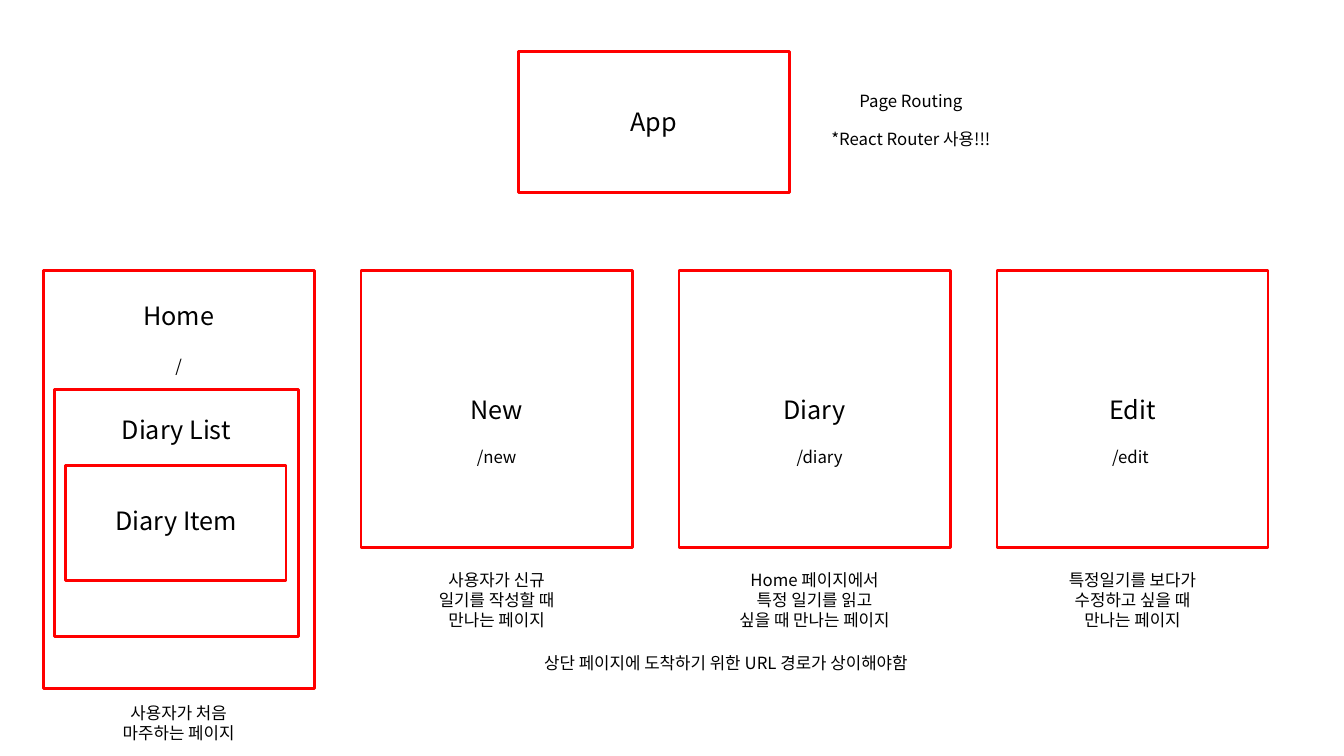
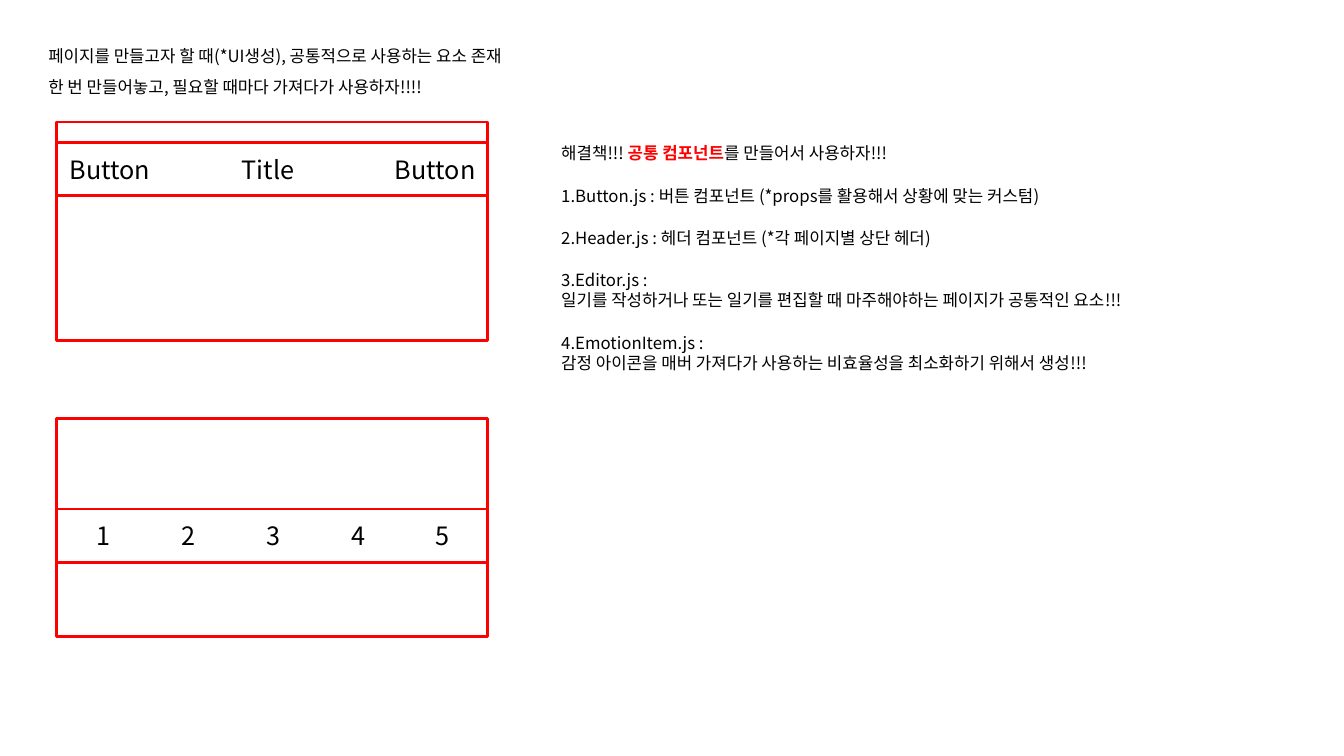
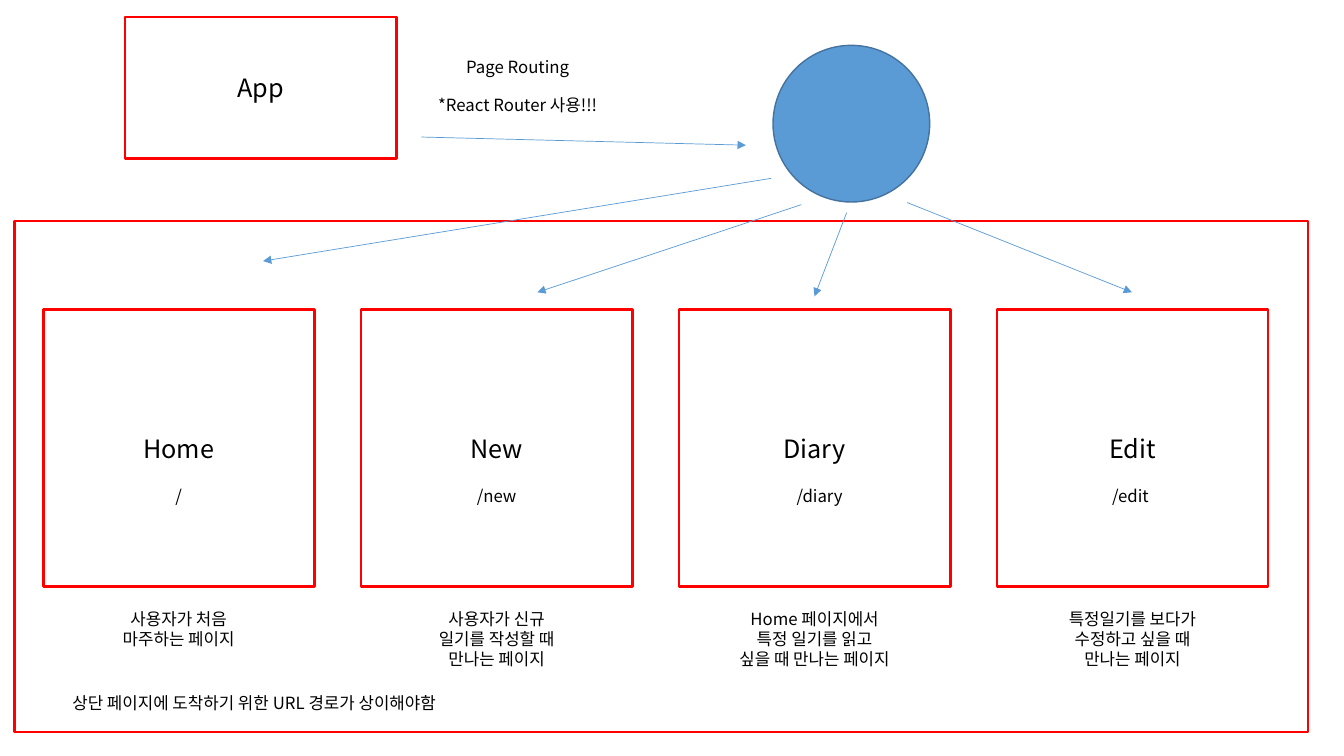
from lxml import etree
from pptx import Presentation
from pptx.dml.color import RGBColor
from pptx.enum.shapes import MSO_CONNECTOR, MSO_SHAPE
from pptx.enum.text import MSO_AUTO_SIZE, PP_ALIGN
from pptx.oxml.ns import qn
from pptx.util import Pt

RECTANGLE, OVAL = MSO_SHAPE.RECTANGLE, MSO_SHAPE.OVAL
STRAIGHT = MSO_CONNECTOR.STRAIGHT
LEFT, CENTER = PP_ALIGN.LEFT, PP_ALIGN.CENTER
FIT_SHAPE = MSO_AUTO_SIZE.SHAPE_TO_FIT_TEXT

COLORS = {"frame": "FF0000", "text": "000000", "router": "5B9BD5", "router_edge": "43739E"}
FONT = "Noto Sans CJK KR"
HEADING, BODY = 18, 12

CARD_W, CARD_H = 193.7, 198
CARD_LEFT, CARD_STEP = 30.8, 227.1
TITLE_Y, ROUTE_Y, CAPTION_Y = 85, 122.4, 210.2
APP_H = 100.8
PANEL_W, PANEL_H, STRIP_H = 308.2, 156.2, 38.2
NOTE_W = 476.6
URL_NOTE = "상단 페이지에 도착하기 위한 URL 경로가 상이해야함"

# name, route, sideways shift of the route, caption
PAGES = [
    ("Home", "/", 0, "사용자가 처음\n마주하는 페이지"),
    ("New", "/new", 0, "사용자가 신규\n일기를 작성할 때\n만나는 페이지"),
    ("Diary", "/diary", 3.6, "Home 페이지에서\n특정 일기를 읽고\n싶을 때 만나는 페이지"),
    ("Edit", "/edit", -1.5, "특정일기를 보다가\n수정하고 싶을 때\n만나는 페이지"),
]
ROUTER_ARROWS = [
    ((301, 97.9), (532.8, 103.7)),
    ((550.8, 127.4), (187.9, 186.5)),
    ((572.4, 146.2), (383.8, 208.8)),
    ((648, 144.7), (808.6, 208.8)),
    ((604.8, 151.9), (581.8, 211.7)),
]
COMPONENT_NOTES = [
    "1.Button.js : 버튼 컴포넌트 (*props를 활용해서 상황에 맞는 커스텀)",
    "2.Header.js : 헤더 컴포넌트 (*각 페이지별 상단 헤더)",
    "3.Editor.js :\n일기를 작성하거나 또는 일기를 편집할 때 마주해야하는 페이지가 공통적인 요소!!!",
    "4.EmotionItem.js :\n감정 아이콘을 매버 가져다가 사용하는 비효율성을 최소화하기 위해서 생성!!!",
]


def rgb(key):
    return RGBColor.from_string(COLORS[key])


def text_height(text, size):
    return 7.2 + 1.2 * size * len(text.split("\n"))


def style_run(run, size, color="text", bold=False):
    run.font.size = Pt(size)
    run.font.bold = bold
    run.font.color.rgb = rgb(color)
    run.font.name = FONT
    east_asian = etree.SubElement(run.font._element, qn("a:ea"))
    east_asian.set("typeface", FONT)


def add_label(slide, x, y, width, text, size=BODY, align=CENTER):
    label = slide.shapes.add_textbox(Pt(x), Pt(y), Pt(width), Pt(text_height(text, size)))
    frame = label.text_frame
    frame.word_wrap = True
    frame.auto_size = FIT_SHAPE
    frame.text = text
    for paragraph in frame.paragraphs:
        paragraph.alignment = align
        for run in paragraph.runs:
            style_run(run, size)
    return label


def add_frame(slide, x, y, width, height):
    frame = slide.shapes.add_shape(RECTANGLE, Pt(x), Pt(y), Pt(width), Pt(height))
    frame.shadow.inherit = False
    frame.fill.background()
    frame.line.color.rgb = rgb("frame")
    frame.line.width = Pt(2)


def add_arrow(slide, start, end):
    arrow = slide.shapes.add_connector(STRAIGHT, *(Pt(v) for v in (*start, *end)))
    arrow.line.color.rgb = rgb("router")
    arrow.line.width = Pt(0.5)
    etree.SubElement(arrow.line._get_or_add_ln(), qn("a:tailEnd")).set("type", "triangle")
    etree.SubElement(arrow._element.spPr, qn("a:effectLst"))


def add_app(slide, x, y):
    add_frame(slide, x, y, CARD_W, APP_H)
    add_label(slide, x, y + 36, CARD_W, "App", HEADING)
    add_label(slide, x + 211.7, y + 24.7, 137.5, "Page Routing")
    add_label(slide, x + 211.7, y + 51.8, 137.5, "*React Router 사용!!!")


def add_page_card(slide, column, y, height=CARD_H, title_y=TITLE_Y,
                  route_y=ROUTE_Y, caption_y=CAPTION_Y):
    name, route, route_shift, caption = PAGES[column]
    x = CARD_LEFT + column * CARD_STEP
    add_frame(slide, x, y, CARD_W, height)
    add_label(slide, x, y + title_y, CARD_W, name, HEADING)
    add_label(slide, x + route_shift, y + route_y, CARD_W, route)
    add_label(slide, x, y + caption_y, CARD_W, caption)


def add_diary_list(slide, x, y):
    """Nested list and item frames inside the Home card."""
    add_frame(slide, x, y, 174.2, 176.4)
    add_label(slide, x, y + 14.4, 174.2, "Diary List", HEADING)
    add_frame(slide, x + 7.9, y + 54.7, 157.7, 82)
    add_label(slide, x, y + 79.2, 174.2, "Diary Item", HEADING)


def add_wireframe(slide, x, y, strip_y, items, item_w):
    """Panel with a strip; items are (offset from the left, text) pairs."""
    add_frame(slide, x, y, PANEL_W, PANEL_H)
    add_frame(slide, x, y + strip_y, PANEL_W, STRIP_H)
    for offset, text in items:
        add_label(slide, x + offset, y + strip_y + 4.7, item_w, text, HEADING)


def add_solution(slide, x, y):
    lead = add_label(slide, x, y, NOTE_W, "해결책!!! ", align=LEFT)
    paragraph = lead.text_frame.paragraphs[0]
    for text, color, bold in [("공통 컴포넌트", "frame", True),
                              ("를 만들어서 사용하자!!!", "text", False)]:
        run = paragraph.add_run()
        run.text = text
        style_run(run, BODY, color, bold)
    y += 30.2
    for note in COMPONENT_NOTES:
        add_label(slide, x, y, NOTE_W, note, align=LEFT)
        y += text_height(note, BODY) + 8.6


def add_router(slide, x, y, diameter):
    router = slide.shapes.add_shape(OVAL, Pt(x), Pt(y), Pt(diameter), Pt(diameter))
    router.shadow.inherit = False
    router.fill.solid()
    router.fill.fore_color.rgb = rgb("router")
    router.line.color.rgb = rgb("router_edge")
    router.line.width = Pt(1)
    for start, end in ROUTER_ARROWS:
        add_arrow(slide, start, end)


def build_page_structure(slide):
    top = 193
    add_app(slide, 370.2, 36.7)
    add_page_card(slide, 0, top, 298.8, 18, 57.6, 305.3)
    add_diary_list(slide, CARD_LEFT + 8, top + 85)
    for column in range(1, len(PAGES)):
        add_page_card(slide, column, top)
    add_label(slide, 381.6, top + 270, NOTE_W, URL_NOTE, align=LEFT)


def build_common_components(slide):
    add_label(slide, 27.4, 28.8, NOTE_W,
              "페이지를 만들고자 할 때(*UI생성), 공통적으로 사용하는 요소 존재", align=LEFT)
    add_label(slide, 27.4, 51.1, NOTE_W,
              "한 번 만들어놓고, 필요할 때마다 가져다가 사용하자!!!!", align=LEFT)
    header = [(0, "Button"), (113, "Title"), (232.4, "Button")]
    emotions = [(5.8 + 60.5 * i, str(i + 1)) for i in range(5)]
    add_wireframe(slide, 40.3, 87.1, 14.6, header, 76.3)
    add_wireframe(slide, 40.3, 298.8, 64.8, emotions, 56.2)
    add_solution(slide, 393.8, 98.6)


def build_routing(slide):
    top = 221
    add_app(slide, 89.3, 12.2)
    for column in range(len(PAGES)):
        add_page_card(slide, column, top)
    add_label(slide, 44.6, top + 270, NOTE_W, URL_NOTE, align=LEFT)
    add_frame(slide, 10.6, 157.9, 923.8, 365)
    add_router(slide, 552.2, 32.4, 111.9)


def main():
    deck = Presentation()
    deck.slide_width, deck.slide_height = Pt(960), Pt(540)
    blank = deck.slide_layouts[6]
    for build in (build_page_structure, build_common_components, build_routing):
        build(deck.slides.add_slide(blank))
    deck.save("out.pptx")


if __name__ == "__main__":
    main()
